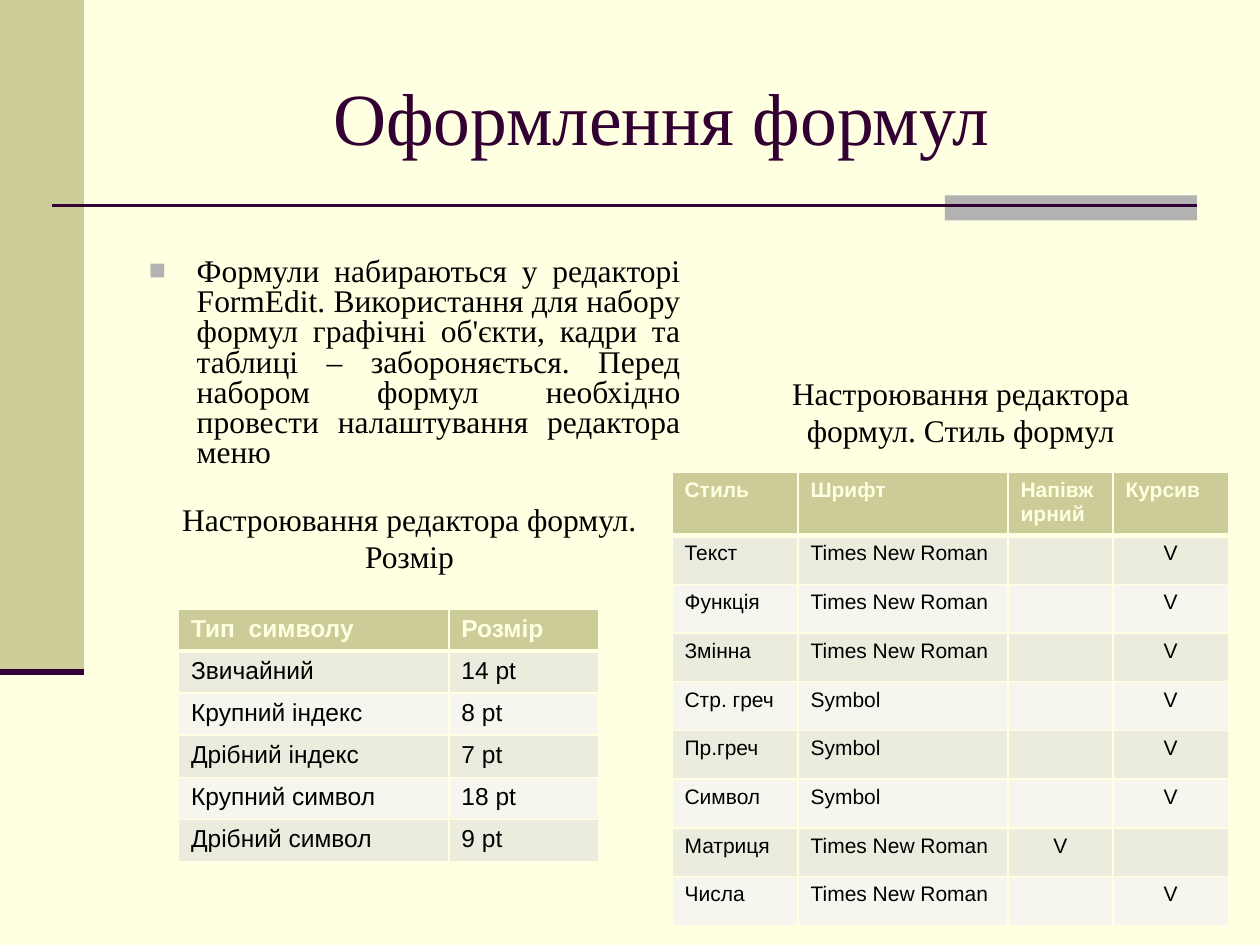
from lxml import etree
from pptx import Presentation
from pptx import util as u
from pptx.dml.color import RGBColor
from pptx.enum import shapes, text
from pptx.oxml import ns

UNIT = u.Inches(1) / 12
SERIF, SANS = "Times New Roman", "Arial"
PLUM, SAND, GRAY, CREAM, BLACK = "330033", "CCCC99", "B2B2B2", "FFFFE1", "000000"
BANDS = ["ECECDE", "F6F6EF"]
LEFT, MID, JUST = text.PP_ALIGN.LEFT, text.PP_ALIGN.CENTER, text.PP_ALIGN.JUSTIFY

SIZES = [
    ["Тип  символу", "Розмір"],
    ["Звичайний", "14 pt"],
    ["Крупний індекс", "8 pt"],
    ["Дрібний індекс", "7 pt"],
    ["Крупний символ", "18 pt"],
    ["Дрібний символ", "9 pt"],
]
STYLES = [
    ["Стиль", "Шрифт", "Напівжирний", "Курсив"],
    ["Текст", "Times New Roman", "", "V"],
    ["Функція", "Times New Roman", "", "V"],
    ["Змінна", "Times New Roman", "", "V"],
    ["Стр. греч", "Symbol", "", "V"],
    ["Пр.греч", "Symbol", "", "V"],
    ["Символ", "Symbol", "", "V"],
    ["Матриця", "Times New Roman", "V", ""],
    ["Числа", "Times New Roman", "", "V"],
]
BODY = (
    "Формули набираються у редакторі FormEdit. Використання для набору формул "
    "графічні об'єкти, кадри та таблиці – забороняється. Перед набором формул "
    "необхідно провести налаштування редактора меню"
)


def grid(*spots):
    return [u.Emu(round(spot * UNIT)) for spot in spots]


def paint(part, shade):
    part.solid()
    part.fore_color.rgb = RGBColor.from_string(shade)


def add(host, tag, **attrs):
    return etree.SubElement(host, ns.qn(tag), **attrs)


def write(frame, words, size=18, font=SERIF, shade=BLACK, bold=False, align=MID):
    frame.word_wrap = True
    para = frame.paragraphs[0]
    para.alignment = align
    if not words:
        add(para._p, "a:endParaRPr", sz=str(size * 100))
        return para
    run = para.add_run()
    run.text = words
    run.font.size = u.Pt(size)
    run.font.name = font
    run.font.bold = bold
    run.font.color.rgb = RGBColor.from_string(shade)
    return para


def label(slide, spot, words, **look):
    frame = slide.shapes.add_textbox(*grid(*spot)).text_frame
    return frame, write(frame, words, **look)


def bullet(para):
    props = para._p.get_or_add_pPr()
    props.set("marL", str(u.Inches(0.38)))
    props.set("indent", str(-u.Inches(0.38)))
    add(add(props, "a:buClr"), "a:srgbClr", val=GRAY)
    add(props, "a:buSzPct", val="90000")
    add(props, "a:buFont", typeface=SANS)
    add(props, "a:buChar", char="■")


def block(slide, spot, shade):
    shape = slide.shapes.add_shape(shapes.MSO_SHAPE.RECTANGLE, *grid(*spot))
    shape.shadow.inherit = False
    paint(shape.fill, shade)
    shape.line.fill.background()


def rule(slide, spot, width):
    line = slide.shapes.add_connector(shapes.MSO_CONNECTOR.STRAIGHT, *grid(*spot))
    paint(line.line.fill, PLUM)
    line.line.width = u.Pt(width)
    add(line._element.spPr, "a:effectLst")


def frame_cell(cell, top, base):
    props = cell._tc.get_or_add_tcPr()
    for spot, (side, width) in enumerate(zip("LRTB", (1, 1, top, base))):
        edge = etree.Element(ns.qn("a:ln" + side), w=str(u.Pt(width)))
        add(add(edge, "a:solidFill"), "a:srgbClr", val=CREAM)
        props.insert(spot, edge)


def table(slide, spot, data, cols, rows, size):
    place = grid(*spot, sum(cols), sum(rows))
    chart = slide.shapes.add_table(len(rows), len(cols), *place).table
    for col, width in zip(chart.columns, grid(*cols)):
        col.width = width
    for row, height in zip(chart.rows, grid(*rows)):
        row.height = height
    for r, line in enumerate(data):
        head = r == 0
        for c, words in enumerate(line):
            cell = chart.cell(r, c)
            paint(cell.fill, SAND if head else BANDS[(r - 1) % 2])
            frame_cell(cell, 3 if r == 1 else 1, 3 if head else 1)
            write(cell.text_frame, words, size=size, font=SANS, bold=head,
                  shade=CREAM if head else BLACK,
                  align=MID if words == "V" else LEFT)


def main():
    deck = Presentation()
    deck.slide_width, deck.slide_height = grid(120, 90)
    slide = deck.slides.add_slide(deck.slide_layouts[6])
    paint(slide.background.fill, CREAM)

    block(slide, (0, 0, 8, 64), SAND)
    block(slide, (90, 18.6, 24, 2.4), GRAY)
    rule(slide, (5, 19.6, 114, 19.6), 1.5)
    rule(slide, (0, 64, 8, 64), 3.5)

    frame, _ = label(slide, (12, 3.6, 102, 15), "Оформлення формул", size=42, shade=PLUM)
    frame.vertical_anchor = text.MSO_ANCHOR.MIDDLE
    _, para = label(slide, (13, 24, 53, 23), BODY, align=JUST)
    para.line_spacing = 0.8
    para.space_before = u.Pt(3.6)
    bullet(para)

    table(slide, (17, 58), SIZES, [25.75, 14.25], [4] * 6, 14)
    label(slide, (14, 47, 50, 8.5), "Настроювання редактора формул. Розмір")
    label(slide, (70, 35, 43, 8.5), "Настроювання редактора формул. Стиль формул")
    table(slide, (64, 45), STYLES, [12, 20, 10, 11], [6] + [4.64] * 8, 12)
    deck.save("out.pptx")


if __name__ == "__main__":
    main()
